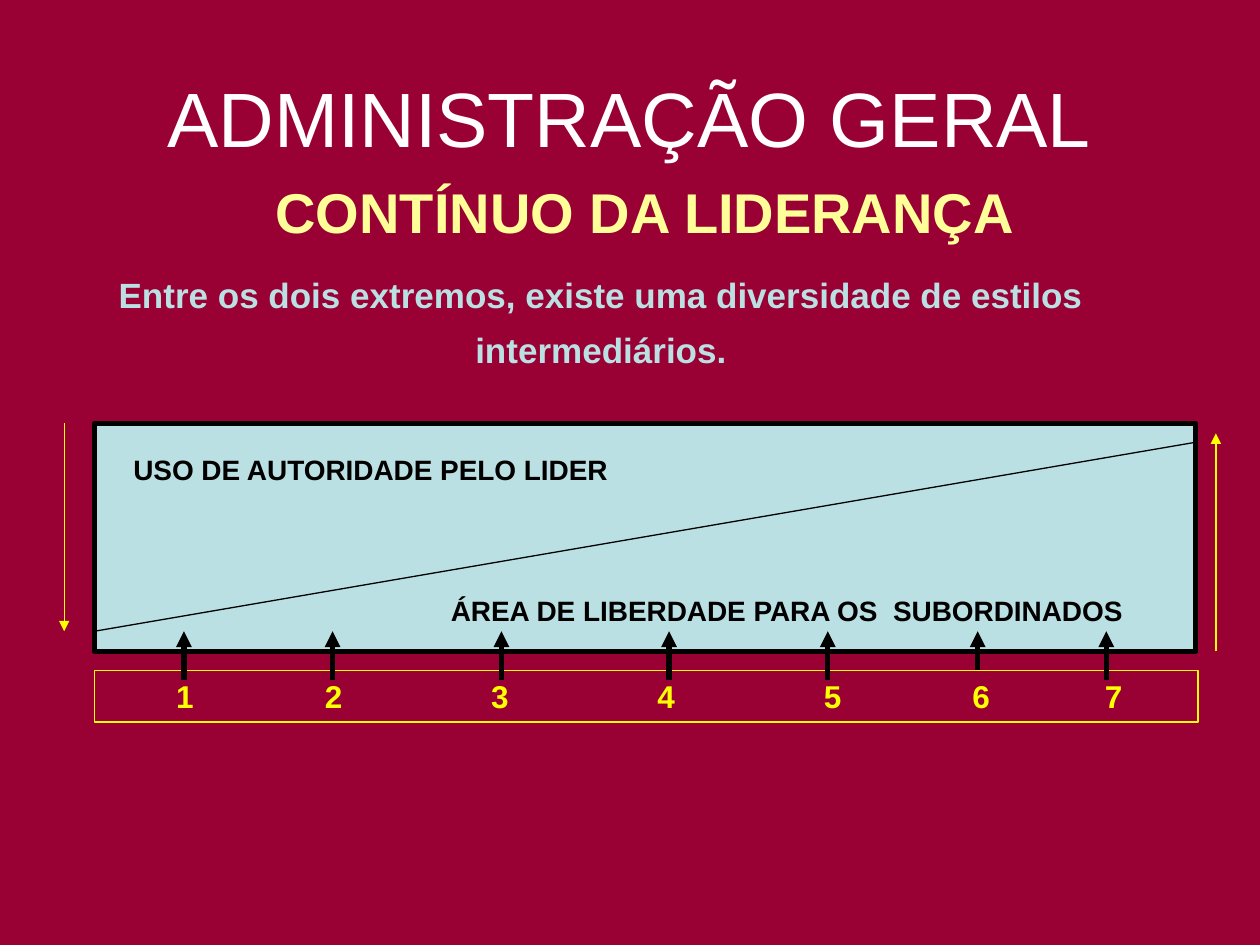
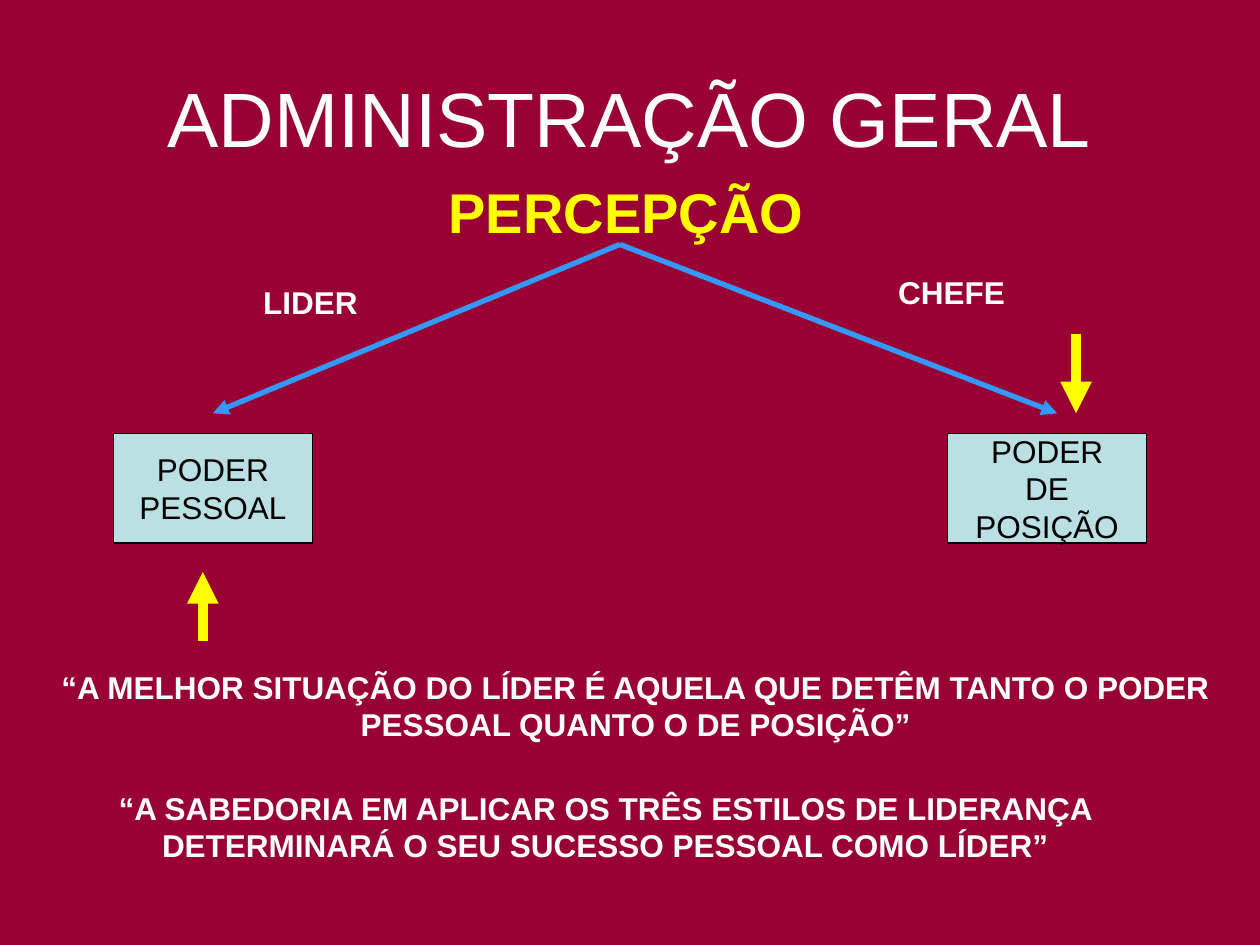
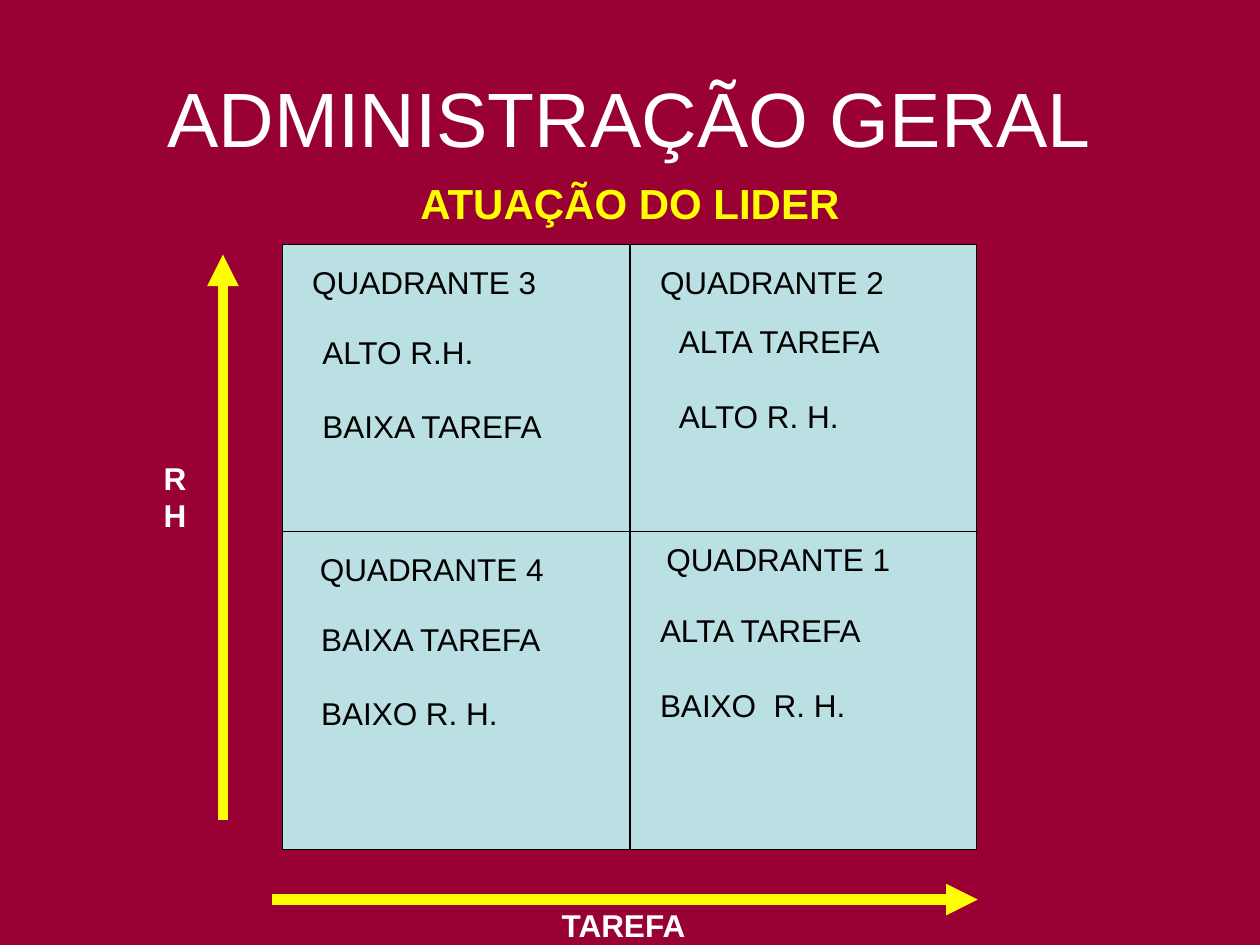
"""Build three slides on leadership on a grid of 100 columns by 75 rows."""
import pptx
import pptx.util
import pptx.dml.color
import pptx.enum.shapes
import pptx.enum.text
import pptx.oxml
import pptx.oxml.ns

deck = pptx.Presentation()
deck.slide_width = pptx.util.Inches(10)
deck.slide_height = pptx.util.Inches(7.5)
column = deck.slide_width / 100
row = deck.slide_height / 75

hue = pptx.dml.color.RGBColor.from_string
ALIGN = pptx.enum.text.PP_ALIGN
ANCHOR = pptx.enum.text.MSO_ANCHOR
FONT = "Arial"
WINE, WHITE, BLACK = "990033", "FFFFFF", "000000"
YELLOW, CREAM, ICE, BLUE = "FFFF00", "FFFF99", "BBE0E3", "3399FF"


def panel(slide, box, lines=(), size=18, colour=BLACK, bold=False, centred=False,
          gap=0, fill=None, edge=None, weight=0.75, anchor=ANCHOR.TOP):
    left, top, width, height = box
    place = [int(left * column), int(top * row), int(width * column), int(height * row)]
    if edge:
        area = slide.shapes.add_shape(pptx.enum.shapes.MSO_SHAPE.RECTANGLE, *place)
        area.shadow.inherit = False
        area.line.color.rgb = hue(edge)
        area.line.width = pptx.util.Pt(weight)
        if fill:
            area.fill.solid()
            area.fill.fore_color.rgb = hue(fill)
        else:
            area.fill.background()
    else:
        area = slide.shapes.add_textbox(*place)
    frame = area.text_frame
    frame.word_wrap = True
    frame.vertical_anchor = anchor
    for number, line in enumerate(lines):
        paragraph = frame.add_paragraph() if number else frame.paragraphs[0]
        paragraph.alignment = ALIGN.CENTER if centred else ALIGN.LEFT
        if number and gap:
            paragraph.space_before = pptx.util.Pt(gap)
        run = paragraph.add_run()
        run.text = line
        run.font.name = FONT
        run.font.size = pptx.util.Pt(size)
        run.font.bold = bold
        run.font.color.rgb = hue(colour)
    return area


def stroke(slide, start, end, colour=BLACK, weight=0.75, head=True):
    link = slide.shapes.add_connector(
        pptx.enum.shapes.MSO_CONNECTOR.STRAIGHT,
        int(start[0] * column), int(start[1] * row), int(end[0] * column), int(end[1] * row))
    link.line.color.rgb = hue(colour)
    link.line.width = pptx.util.Pt(weight)
    if head:
        tip = pptx.oxml.ns.qn("a:tailEnd")
        link.line._get_or_add_ln().append(link._element.makeelement(tip, {"type": "triangle"}))
    link._element.spPr.append(link._element.makeelement(pptx.oxml.ns.qn("a:effectLst"), {}))


backdrop = deck.slide_master.background.fill
backdrop.solid()
backdrop.fore_color.rgb = hue(WINE)

slides = []
for topic, left, size, colour in [
    ("CONTÍNUO DA LIDERANÇA", 6.2, 32, CREAM),
    ("PERCEPÇÃO", 4.7, 32, YELLOW),
    ("ATUAÇÃO DO LIDER", 5, 24, YELLOW),
]:
    slide = deck.slides.add_slide(deck.slide_layouts[5])
    heading = slide.shapes.title
    heading.left, heading.top = int(5 * column), int(3 * row)
    heading.width, heading.height = int(90 * column), int(12.5 * row)
    heading.text_frame.vertical_anchor = ANCHOR.MIDDLE
    paragraph = heading.text_frame.paragraphs[0]
    paragraph.alignment = ALIGN.CENTER
    run = paragraph.add_run()
    run.text = "ADMINISTRAÇÃO GERAL"
    run.font.name = FONT
    run.font.size = pptx.util.Pt(44)
    run.font.color.rgb = hue(WHITE)
    panel(slide, (left, 13.6, 90, 6.1), [topic], size, colour, bold=True, centred=True)
    slides.append(slide)
continuum, perception, action = slides

panel(continuum, (7.7, 21.2, 80, 8.5),
      ["Entre os dois extremos, existe uma diversidade de estilos", "intermediários."],
      20, ICE, bold=True, centred=True, gap=7.3)
panel(continuum, (7.5, 33.6, 87.4, 18.1), fill=ICE, edge=BLACK, weight=3)
stroke(continuum, (7.5, 50.1), (94.9, 35.1), head=False)
stroke(continuum, (5.1, 33.6), (5.1, 50.1), YELLOW)
stroke(continuum, (96.5, 51.7), (96.5, 34.4), YELLOW)
panel(continuum, (9.6, 35.4, 45, 3.5), ["USO DE AUTORIDADE PELO LIDER"], 16, bold=True)
panel(continuum, (34.8, 46.6, 58, 3.7), ["ÁREA DE LIBERDADE PARA OS  SUBORDINADOS"], 16, bold=True)

styles = panel(continuum, (7.5, 53.2, 87.6, 4.1), ["\t" + "\t".join("1234567")],
               colour=YELLOW, bold=True, edge=YELLOW)
settings = styles.text_frame.paragraphs[0]._p.get_or_add_pPr()
stops = settings.makeelement(pptx.oxml.ns.qn("a:tabLst"), {})
settings.append(stops)
for stop in (5.5, 17.3, 30.5, 43.7, 56.9, 68.7, 79.2):
    stops.append(stops.makeelement(
        pptx.oxml.ns.qn("a:tab"), {"pos": str(int(stop * column)), "algn": "l"}))
for x, foot in [(14.6, 54), (26.4, 54), (39.8, 54), (53.1, 54), (65.7, 54), (77.6, 53.2), (87.8, 54)]:
    stroke(continuum, (x, foot), (x, 50.1), weight=3)

for role, role_at, power, power_left, branch_end in [
    ("LIDER", (19.9, 22), ["PODER", "PESSOAL"], 9, 16.9),
    ("CHEFE", (70.3, 21.2), ["PODER", "DE", "POSIÇÃO"], 75.2, 83.9),
]:
    panel(perception, (power_left, 34.4, 15.8, 8.7), power, centred=True,
          fill=ICE, edge=BLACK, anchor=ANCHOR.MIDDLE)
    stroke(perception, (49.2, 19.4), (branch_end, 32.8), BLUE, 3)
    panel(perception, (*role_at, 12, 4), [role], colour=WHITE, bold=True)
stroke(perception, (16.1, 50.9), (16.1, 45.4), YELLOW, 6)
stroke(perception, (85.4, 26.5), (85.4, 32.8), YELLOW, 6)
for quote, box in [
    ("“A MELHOR SITUAÇÃO DO LÍDER É AQUELA QUE DETÊM TANTO O PODER "
     "PESSOAL QUANTO O DE POSIÇÃO”", (2, 52.5, 96.9, 7)),
    ("“A SABEDORIA EM APLICAR OS TRÊS ESTILOS DE LIDERANÇA "
     "DETERMINARÁ O SEU SUCESSO PESSOAL COMO LÍDER”", (1.2, 62.1, 93.7, 7)),
]:
    panel(perception, box, [quote], colour=WHITE, bold=True, centred=True)

panel(action, (22.4, 19.4, 55.1, 48), fill=ICE, edge=BLACK)
stroke(action, (17.7, 65.1), (17.7, 20.2), YELLOW, 6)
stroke(action, (21.6, 71.4), (77.6, 71.4), YELLOW, 6)
stroke(action, (50, 19.4), (50, 67.4), head=False)
stroke(action, (22.4, 42.2), (77.6, 42.2), head=False)
for quadrant, name_at, levels, levels_at in [
    (1, (51.9, 42.4), ["ALTA TAREFA", "BAIXO  R. H."], (51.4, 48)),
    (2, (51.4, 20.4), ["ALTA TAREFA", "ALTO R. H."], (52.9, 25.1)),
    (3, (23.8, 20.4), ["ALTO R.H.", "BAIXA TAREFA"], (24.6, 25.9)),
    (4, (24.4, 43.2), ["BAIXA TAREFA", "BAIXO R. H."], (24.5, 48.7)),
]:
    panel(action, (*name_at, 21, 4), [f"QUADRANTE {quadrant}"])
    panel(action, (*levels_at, 21, 10), levels, gap=21)
panel(action, (12, 35.9, 3.8, 7), ["R", "H"], colour=WHITE, bold=True)
panel(action, (43.6, 71.4, 15, 4), ["TAREFA"], colour=WHITE, bold=True)

deck.save("out.pptx")
